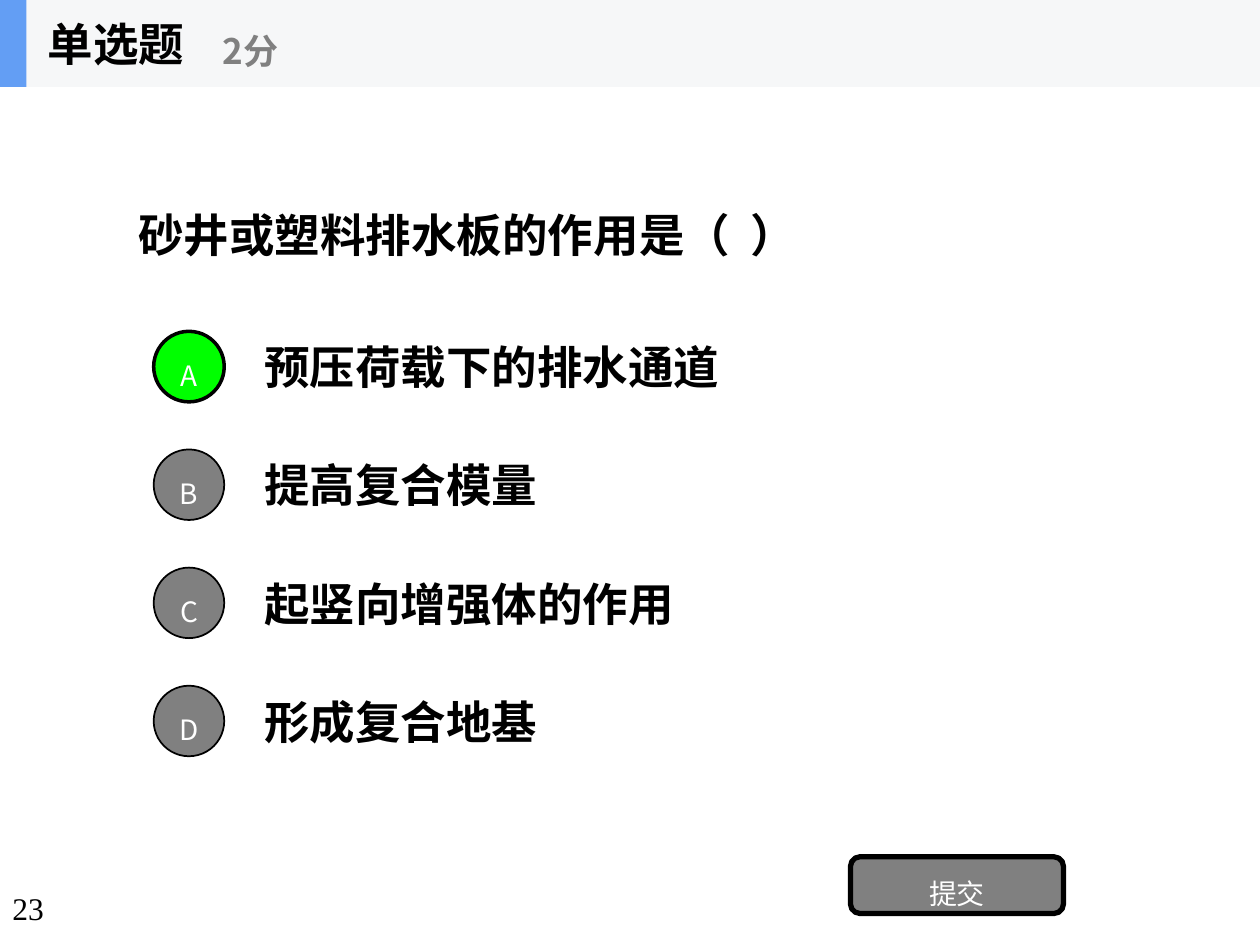
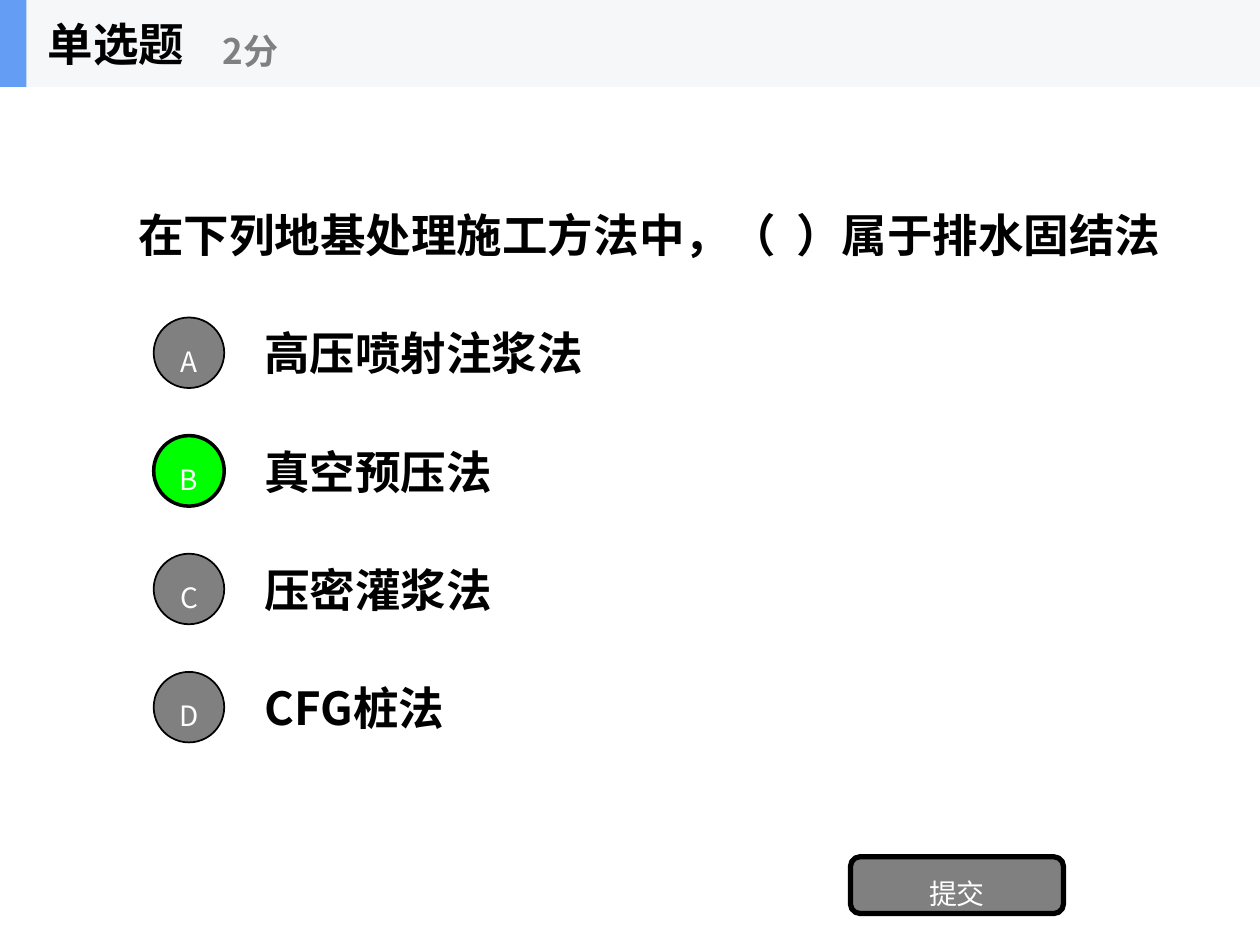
import pptx
import pptx.util
import pptx.dml.color
import pptx.enum.shapes
import pptx.enum.text
import pptx.oxml.ns
import lxml.etree

Inches = pptx.util.Inches
RGBColor = pptx.dml.color.RGBColor
SHAPE = pptx.enum.shapes.MSO_SHAPE
ANCHOR = pptx.enum.text.MSO_ANCHOR
ALIGN = pptx.enum.text.PP_ALIGN

BLACK = RGBColor(0x00, 0x00, 0x00)
WHITE = RGBColor(0xFF, 0xFF, 0xFF)
GRAY = RGBColor(0x80, 0x80, 0x80)
GREEN = RGBColor(0x00, 0xFF, 0x00)
PALE = RGBColor(0xF6, 0xF7, 0xF8)
BLUE = RGBColor(0x63, 0x9E, 0xF4)

SANS = "Noto Sans CJK SC"
SERIF = "Times New Roman"
WIDTH, HEIGHT = 10, 7.5
PITCH = HEIGHT / 8  # distance between answer rows

# question, answers, letter of the right answer, top of first row, width, page
QUIZ = [
    ("砂井或塑料排水板的作用是（  ）",
     ["预压荷载下的排水通道", "提高复合模量", "起竖向增强体的作用", "形成复合地基"],
     "A", 2.56, 8, "23"),
    ("在下列地基处理施工方法中，（  ）属于排水固结法",
     ["高压喷射注浆法", "真空预压法", "压密灌浆法", "CFG桩法"],
     "B", 2.45, 8.54, None),
]


def write(shape, text, size=26, bold=True, color=BLACK, font=SANS,
          anchor=ANCHOR.MIDDLE, align=ALIGN.LEFT, spacing=None):
    """Fill a shape with one formatted paragraph."""
    frame = shape.text_frame
    frame.word_wrap = True
    frame.vertical_anchor = anchor
    para = frame.paragraphs[0]
    para.alignment = align
    if spacing:
        para.line_spacing = spacing
    run = para.add_run()
    run.text = text
    run.font.size = pptx.util.Pt(size)
    run.font.bold = bold
    run.font.color.rgb = color
    run.font.name = font
    # East Asian typeface
    east = lxml.etree.SubElement(run.font._element, pptx.oxml.ns.qn("a:ea"))
    east.set("typeface", font)


def label(shapes, box, text, **style):
    write(shapes.add_textbox(*map(Inches, box)), text, **style)


def block(shapes, kind, box, fill, line=0):
    """Add a flat shape, outlined in black when line is given."""
    shape = shapes.add_shape(kind, *map(Inches, box))
    shape.shadow.inherit = False
    shape.fill.solid()
    shape.fill.fore_color.rgb = fill
    if line:
        shape.line.color.rgb = BLACK
        shape.line.width = pptx.util.Pt(line)
    else:
        shape.line.fill.background()
    return shape


def button(shapes, kind, box, text, fill, line):
    """Add a shape with centred white text and no insets."""
    shape = block(shapes, kind, box, fill, line)
    frame = shape.text_frame
    frame.margin_left = frame.margin_right = 0
    frame.margin_top = frame.margin_bottom = 0
    write(shape, text, size=16, bold=False, color=WHITE,
          align=ALIGN.CENTER, spacing=1.5)


def header(slide, left, top, width, height):
    shapes = slide.shapes.add_group_shape().shapes
    block(shapes, SHAPE.RECTANGLE, (left, top, width, height), PALE)
    block(shapes, SHAPE.RECTANGLE, (left, top, 0.21, height), BLUE)
    label(shapes, (left + 0.28, top, 2.08, height), "单选题")
    label(shapes, (left + 1.67, top + 0.12, 2.5, 0.56), "2分",
          size=20, color=GRAY)


def choices(slide, left, top, width, height, answers, right):
    """Place one lettered badge and one answer per row."""
    size = 0.56
    for row, (letter, answer) in enumerate(zip("ABCD", answers)):
        y = top + row * PITCH
        fill, line = (GREEN, 2) if letter == right else (GRAY, 1)
        label(slide.shapes, (left + 0.78, y, width - 0.78, height), answer)
        button(slide.shapes, SHAPE.OVAL,
               (left, y + (height - size) / 2, size, size), letter, fill, line)


def quiz(deck, question, answers, right, top, width, page):
    slide = deck.slides.add_slide(deck.slide_layouts[6])
    if page:
        label(slide.shapes, (0, 7.01, 0.66, 0.4), page, size=18, bold=False,
              font=SERIF, anchor=ANCHOR.TOP)
    label(slide.shapes, (1, 0.69, width, 2.34), question)
    choices(slide, 1.22, top, 7.78, 0.7, answers, right)
    button(slide.shapes, SHAPE.ROUNDED_RECTANGLE, (6.75, 6.8, 1.69, 0.45),
           "提交", GRAY, 3)
    header(slide, 0, 0, WIDTH, 0.69)


def main():
    deck = pptx.Presentation()
    deck.slide_width = Inches(WIDTH)
    deck.slide_height = Inches(HEIGHT)
    for item in QUIZ:
        quiz(deck, *item)
    deck.save("out.pptx")


if __name__ == "__main__":
    main()
